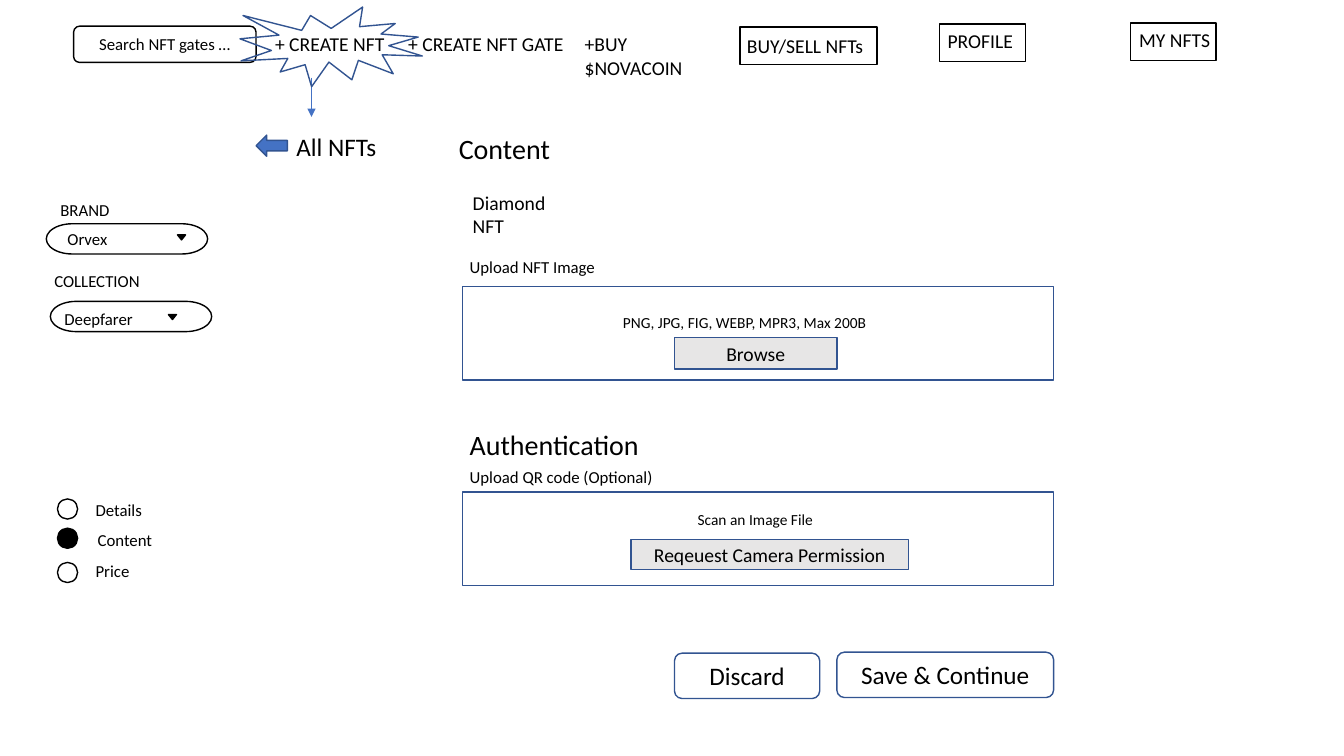
from dataclasses import dataclass
from typing import Optional

import lxml.etree
import pptx
import pptx.dml.color
import pptx.enum.shapes
import pptx.enum.text
import pptx.oxml.ns
import pptx.shapes.autoshape
import pptx.slide
import pptx.text.text
import pptx.util

Inches = pptx.util.Inches
RGBColor = pptx.dml.color.RGBColor
ShapeType = pptx.enum.shapes.MSO_SHAPE
Anchor = pptx.enum.text.MSO_ANCHOR
Align = pptx.enum.text.PP_ALIGN
AutoSize = pptx.enum.text.MSO_AUTO_SIZE

BLACK = RGBColor(0x00, 0x00, 0x00)
BLUE = RGBColor(0x44, 0x72, 0xC4)
DARK_BLUE = RGBColor(0x32, 0x54, 0x91)
GREY = RGBColor(0xE7, 0xE6, 0xE6)
FONT = "Calibri"


@dataclass(frozen=True)
class Box:
    left: float
    top: float
    width: float
    height: float

    def lengths(self) -> tuple:
        return tuple(Inches(value) for value in (self.left, self.top, self.width, self.height))


@dataclass(frozen=True)
class Label:
    text: str
    box: Box
    size: float = 12
    wrap: bool = False


@dataclass(frozen=True)
class Figure:
    kind: ShapeType
    box: Box
    line: RGBColor = DARK_BLUE
    fill: Optional[RGBColor] = None
    text: str = ""
    size: float = 14
    rotation: float = 0


@dataclass(frozen=True)
class Dropdown:
    caption: Label
    value: Label
    outline: Box
    arrow: Box


@dataclass(frozen=True)
class Option:
    text: str
    label_left: float
    circle_top: float
    selected: bool = False


MENU_LABELS = [
    Label("+BUY $NOVACOIN", Box(5.7, 0.27, 1.6, 0.34), 14),
    Label("+ CREATE NFT", Box(2.63, 0.27, 1.3, 0.34), 14),
    Label("+ CREATE NFT GATE", Box(3.95, 0.27, 1.76, 0.34), 14),
    Label("BUY/SELL NFTs", Box(7.31, 0.29, 1.36, 0.34), 14),
    Label("PROFILE", Box(9.3, 0.24, 0.86, 0.34), 14),
    Label("MY NFTS", Box(11.2, 0.23, 0.91, 0.34), 14),
]
MENU_FRAMES = [
    Figure(ShapeType.RECTANGLE, Box(7.34, 0.27, 1.36, 0.37), BLACK),
    Figure(ShapeType.RECTANGLE, Box(9.32, 0.24, 0.85, 0.37), BLACK),
    Figure(ShapeType.RECTANGLE, Box(11.21, 0.23, 0.85, 0.37), BLACK),
    Figure(ShapeType.ROUNDED_RECTANGLE, Box(0.73, 0.26, 1.81, 0.36), BLACK,
           text="Search NFT gates …", size=12),
]
HIGHLIGHT = Figure(ShapeType.EXPLOSION1, Box(2.38, 0.07, 1.81, 0.79))

FORM_FIGURES = [
    Figure(ShapeType.LEFT_ARROW, Box(2.54, 1.34, 0.31, 0.21), fill=BLUE),
    Figure(ShapeType.RECTANGLE, Box(4.59, 2.84, 5.86, 0.93)),
    Figure(ShapeType.RECTANGLE, Box(6.69, 3.35, 1.61, 0.31), fill=GREY, text="Browse"),
    Figure(ShapeType.RECTANGLE, Box(4.59, 4.88, 5.86, 0.93)),
    Figure(ShapeType.RECTANGLE, Box(6.26, 5.35, 2.75, 0.3), fill=GREY,
           text="Reqeuest Camera Permission"),
    Figure(ShapeType.ROUNDED_RECTANGLE, Box(6.69, 6.48, 1.44, 0.45), text="Discard", size=18),
    Figure(ShapeType.ROUNDED_RECTANGLE, Box(8.3, 6.47, 2.15, 0.45),
           text="Save & Continue", size=18),
]
FORM_LABELS = [
    Label("All NFTs", Box(2.84, 1.25, 1.75, 0.41), 18, wrap=True),
    Label("Diamond NFT", Box(4.59, 1.84, 1.15, 0.57), 14, wrap=True),
    Label("Upload NFT Image", Box(4.56, 2.5, 5.44, 0.3), wrap=True),
    Label("PNG, JPG, FIG, WEBP, MPR3, Max 200B", Box(6.08, 3.06, 2.66, 0.29), 11),
    Label("Authentication", Box(4.56, 4.19, 1.9, 0.44), 20),
    Label("Upload QR code (Optional)", Box(4.56, 4.58, 5.44, 0.3), wrap=True),
    Label("Scan an Image File", Box(6.82, 5.01, 1.35, 0.29), 11),
]
DROPDOWNS = [
    Dropdown(Label("BRAND", Box(0.5, 1.93, 0.69, 0.3)),
             Label("Orvex", Box(0.57, 2.22, 1.49, 0.3), wrap=True),
             Box(0.46, 2.22, 1.6, 0.3), Box(1.76, 2.33, 0.08, 0.05)),
    Dropdown(Label("COLLECTION", Box(0.44, 2.64, 1.06, 0.3)),
             Label("Deepfarer", Box(0.54, 3.01, 1.52, 0.3), wrap=True),
             Box(0.5, 2.99, 1.6, 0.3), Box(1.67, 3.12, 0.08, 0.05)),
]
OPTIONS = [
    Option("Details", 0.85, 4.95),
    Option("Content", 0.87, 5.24, selected=True),
    Option("Price", 0.85, 5.58),
]
OPTION_TOP, OPTION_STEP = 4.91, 0.3


def write_text(frame: pptx.text.text.TextFrame, text: str, *, size: float, wrap: bool = True,
               align: Align = Align.LEFT, anchor: Anchor = Anchor.TOP,
               auto_size: AutoSize = AutoSize.NONE) -> None:
    frame.text = text
    frame.word_wrap = wrap
    frame.auto_size = auto_size
    frame.vertical_anchor = anchor
    paragraph = frame.paragraphs[0]
    paragraph.alignment = align
    font = paragraph.runs[0].font
    font.name = FONT
    font.size = pptx.util.Pt(size)
    font.color.rgb = BLACK


def add_label(slide: pptx.slide.Slide, label: Label) -> None:
    text_box = slide.shapes.add_textbox(*label.box.lengths())
    write_text(text_box.text_frame, label.text, size=label.size, wrap=label.wrap,
               auto_size=AutoSize.SHAPE_TO_FIT_TEXT)


def add_figure(slide: pptx.slide.Slide, figure: Figure) -> pptx.shapes.autoshape.Shape:
    shape = slide.shapes.add_shape(figure.kind, *figure.box.lengths())
    shape.shadow.inherit = False
    shape.rotation = figure.rotation
    if figure.fill is None:
        shape.fill.background()
    else:
        shape.fill.solid()
        shape.fill.fore_color.rgb = figure.fill
    shape.line.color.rgb = figure.line
    shape.line.width = pptx.util.Pt(1)
    if figure.text:
        write_text(shape.text_frame, figure.text, size=figure.size,
                   align=Align.CENTER, anchor=Anchor.MIDDLE)
    return shape


def add_down_arrow(slide: pptx.slide.Slide, x: float, top: float, bottom: float) -> None:
    connector = slide.shapes.add_connector(
        pptx.enum.shapes.MSO_CONNECTOR.STRAIGHT,
        Inches(x), Inches(top), Inches(x), Inches(bottom))
    connector.line.color.rgb = BLUE
    connector.line.width = pptx.util.Pt(0.5)
    qualified = pptx.oxml.ns.qn
    lxml.etree.SubElement(connector.line._get_or_add_ln(), qualified("a:tailEnd"), type="triangle")
    lxml.etree.SubElement(connector._element.spPr, qualified("a:effectLst"))


def add_dropdown(slide: pptx.slide.Slide, dropdown: Dropdown) -> None:
    add_figure(slide, Figure(ShapeType.FLOWCHART_TERMINATOR, dropdown.outline, BLACK))
    add_figure(slide, Figure(ShapeType.ISOSCELES_TRIANGLE, dropdown.arrow, BLACK, BLACK,
                             rotation=180))
    add_label(slide, dropdown.caption)
    add_label(slide, dropdown.value)


def add_option(slide: pptx.slide.Slide, option: Option, top: float) -> None:
    add_figure(slide, Figure(ShapeType.OVAL, Box(0.57, option.circle_top, 0.2, 0.2), BLACK,
                             BLACK if option.selected else None))
    add_label(slide, Label(option.text, Box(option.label_left, top, 1.17, 0.3), wrap=True))


def main() -> None:
    presentation = pptx.Presentation()
    presentation.slide_width = Inches(13.33)
    presentation.slide_height = Inches(7.5)
    slide = presentation.slides.add_slide(presentation.slide_layouts.get_by_name("Title Only"))

    title = slide.shapes.title
    title.left, title.top, title.width, title.height = Box(4.45, 1.25, 1.11, 0.44).lengths()
    write_text(title.text_frame, "Content", size=20, wrap=False)

    for label in MENU_LABELS + FORM_LABELS:
        add_label(slide, label)
    add_down_arrow(slide, 3.09, 0.77, 1.16)
    for figure in [*MENU_FRAMES, HIGHLIGHT, *FORM_FIGURES]:
        add_figure(slide, figure)
    for dropdown in DROPDOWNS:
        add_dropdown(slide, dropdown)
    for index, option in enumerate(OPTIONS):
        add_option(slide, option, OPTION_TOP + index * OPTION_STEP)

    presentation.save("out.pptx")


if __name__ == "__main__":
    main()
